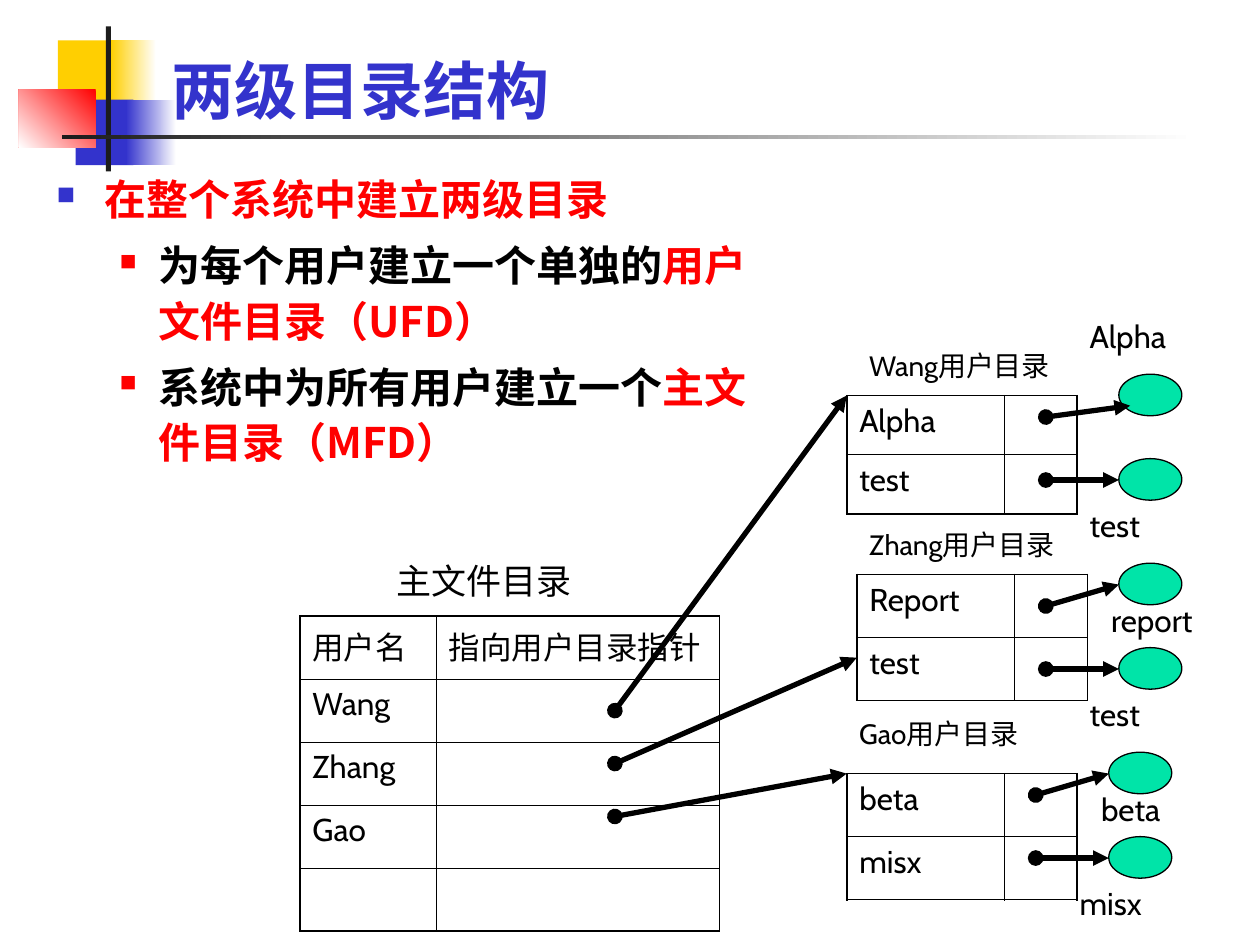
import pptx
import pptx.dml.color
import pptx.enum.shapes
import pptx.enum.text
import pptx.oxml.ns
import pptx.util
from lxml import etree

SHAPES = pptx.enum.shapes.MSO_SHAPE
BLACK, RED, BLUE, YELLOW = "000000", "FF0000", "3333CC", "FFCF01"
WHITE, DARK, GREEN = "FFFFFF", "1C1C1C", "00E4A8"
LATIN, CHINESE = "Cabin", "Noto Sans CJK SC"


def px(value):
    """100 px make one inch."""
    return pptx.util.Emu(value * 9144)


def box_emu(*box):
    return [px(value) for value in box]


def rgb(color):
    return pptx.dml.color.RGBColor.from_string(color)


def add_xml(parent, tag, **attributes):
    return etree.SubElement(parent, pptx.oxml.ns.qn(tag), attributes)


def style_paragraph(paragraph, size, color=None, name=LATIN, bold=False):
    font = paragraph.font
    font.size = pptx.util.Pt(size)
    font.bold = bold
    font.name = name
    add_xml(font._element, "a:ea", typeface=CHINESE)
    if color:
        font.color.rgb = rgb(color)


def add_label(slide, text, left, top, width=100, height=40, size=18):
    shape = slide.shapes.add_textbox(*box_emu(left, top, width, height))
    frame = shape.text_frame
    frame.word_wrap = True
    frame.text = text
    style_paragraph(frame.paragraphs[0], size, BLACK)


def add_block(slide, box, colors, angle=180, kind=SHAPES.RECTANGLE):
    """A shape with one flat color or a gradient of two."""
    shape = slide.shapes.add_shape(kind, *box_emu(*box))
    shape.shadow.inherit = False
    shape.line.fill.background()
    if len(colors) == 1:
        shape.fill.solid()
        shape.fill.fore_color.rgb = rgb(colors[0])
    else:
        shape.fill.gradient()
        shape.fill.gradient_angle = angle
        for stop, color in zip(shape.fill.gradient_stops, colors):
            stop.color.rgb = rgb(color)
    return shape


def add_arrow(slide, start, end):
    arrow = slide.shapes.add_connector(
        pptx.enum.shapes.MSO_CONNECTOR.STRAIGHT, *box_emu(*start, *end))
    arrow.line.color.rgb = rgb(BLACK)
    arrow.line.width = pptx.util.Pt(3)
    line = arrow.line._get_or_add_ln()
    add_xml(line, "a:headEnd", type="oval")
    add_xml(line, "a:tailEnd", type="triangle")
    add_xml(arrow._element.spPr, "a:effectLst")


def add_border(cell, side, outer):
    width = pptx.util.Pt(1.08 if outer else 0.45)
    line = add_xml(cell._tc.get_or_add_tcPr(), f"a:ln{side}", w=str(width))
    add_xml(add_xml(line, "a:solidFill"), "a:srgbClr", val=BLACK)


def add_grid(slide, left, top, columns, row_height, rows):
    """A table with thick outer and thin inner borders."""
    frame = slide.shapes.add_table(
        len(rows), len(columns),
        *box_emu(left, top, sum(columns), row_height * len(rows)))
    table = frame.table
    table.first_row = table.horz_banding = False
    for column, width in zip(table.columns, columns):
        column.width = px(width)
    for r, texts in enumerate(rows):
        table.rows[r].height = px(row_height)
        for c, text in enumerate(texts):
            cell = table.cell(r, c)
            add_border(cell, "L", c == 0)
            add_border(cell, "R", c == len(columns) - 1)
            add_border(cell, "T", r == 0)
            add_border(cell, "B", r == len(rows) - 1)
            cell.fill.background()
            if text:
                cell.text = text
                style_paragraph(cell.text_frame.paragraphs[0], 18, BLACK)


def add_decoration(slide):
    add_block(slide, (46, 32, 48, 52), [YELLOW])
    add_block(slide, (88, 32, 36, 52), [WHITE, YELLOW])
    add_block(slide, (60, 79, 46, 52), [BLUE])
    add_block(slide, (100, 79, 40, 52), [WHITE, BLUE])
    add_block(slide, (15, 71, 61, 46), [RED, WHITE], angle=225)
    add_block(slide, (84, 21, 4, 115), [DARK])
    add_block(slide, (49, 107, 900, 3), [WHITE, DARK])


def place_title(slide, text, box):
    title = slide.shapes.title
    title.left, title.top, title.width, title.height = box_emu(*box)
    frame = title.text_frame
    frame.text = text
    frame.vertical_anchor = pptx.enum.text.MSO_ANCHOR.BOTTOM
    paragraph = frame.paragraphs[0]
    paragraph.alignment = pptx.enum.text.PP_ALIGN.LEFT
    style_paragraph(paragraph, 36, BLUE, bold=True)


def add_outline(slide, box, items):
    """Bulleted text; each item is a level and its colored runs."""
    frame = slide.shapes.add_textbox(*box_emu(*box)).text_frame
    frame.word_wrap = True
    bullets = [(38, 38, BLUE, 60), (81, 31, RED, 55)]
    for index, (level, runs) in enumerate(items):
        paragraph = frame.add_paragraph() if index else frame.paragraphs[0]
        margin, hanging, color, percent = bullets[level]
        paragraph.level = level
        paragraph.line_spacing = 1.1
        if index:
            paragraph.space_before = pptx.util.Pt(6)
        properties = paragraph._p.get_or_add_pPr()
        properties.set("marL", str(px(margin)))
        properties.set("indent", str(px(-hanging)))
        add_xml(add_xml(properties, "a:buClr"), "a:srgbClr", val=color)
        add_xml(properties, "a:buSzPct", val=str(percent * 1000))
        add_xml(properties, "a:buChar", char="■")
        style_paragraph(paragraph, 24, name=CHINESE, bold=True)
        for text, run_color in runs:
            run = paragraph.add_run()
            run.text = text
            run.font.color.rgb = rgb(run_color)


def add_files(slide, left, top, names, label_offset=(-16, 25), tip=(0, 17)):
    """Two file ovals with their arrows and names."""
    labels = [label_offset, (-33, 33)]
    starts, tips = [(-58, 34), (-58, 17)], [tip, (0, 17)]
    for index, name in enumerate(names):
        y = top + 67 * index
        oval = add_block(slide, (left, y, 50, 33), [GREEN], kind=SHAPES.OVAL)
        oval.line.color.rgb = rgb(BLACK)
        oval.line.width = pptx.util.Pt(0.75)
        start, end, label = [(left + dx, y + dy) for dx, dy in
                             (starts[index], tips[index], labels[index])]
        add_arrow(slide, start, end)
        add_label(slide, name, *label)


def add_user_directory(slide, left, top, user, rows, caption, row_height=50):
    add_label(slide, f"{user}用户目录", left + caption[0], top + caption[1],
              175, 37, 16)
    add_grid(slide, left, top, [125, 58], row_height,
             [(name, "") for name in rows])


def add_main_directory(slide, left, top, pointer_ends):
    add_grid(slide, left, top, [108, 225], 50, [
        ("用户名", "指向用户目录指针"), ("Wang", ""), ("Zhang", ""),
        ("Gao", ""), ("", "")])
    add_label(slide, "主文件目录", left + 67, top - 50, 175, 44, 20)
    for index, end in enumerate(pointer_ends):
        add_arrow(slide, (left + 250, top + 75 + 42 * index), end)


def main():
    presentation = pptx.Presentation()
    presentation.slide_width, presentation.slide_height = px(1000), px(750)
    slide = presentation.slides.add_slide(presentation.slide_layouts[5])

    # Heading and explanation
    add_decoration(slide)
    place_title(slide, "两级目录结构", (126, -19, 852, 125))
    add_outline(slide, (35, 129, 591, 277), [
        (0, [("在整个系统中建立两级目录", RED)]),
        (1, [("为每个用户建立一个单独的", BLACK), ("用户文件目录（UFD）", RED)]),
        (1, [("系统中为所有用户建立一个", BLACK), ("主文件目录（MFD）", RED)])])

    # User directories and their files
    add_user_directory(slide, 672, 314, "Wang", ["Alpha", "test"], (8, -42), 47)
    add_files(slide, 888, 297, ["Alpha", "test"], (-33, -50), (9, 25))
    add_user_directory(slide, 680, 456, "Zhang", ["Report", "test"], (0, -42))
    add_files(slide, 888, 447, ["report", "test"])
    add_user_directory(slide, 672, 614, "Gao", ["beta", "misx"], (0, -50))
    add_files(slide, 880, 597, ["beta", "misx"])

    # Main directory pointing at each user directory
    add_main_directory(slide, 238, 489, [(672, 314), (680, 522), (672, 614)])
    presentation.save("out.pptx")


if __name__ == "__main__":
    main()
